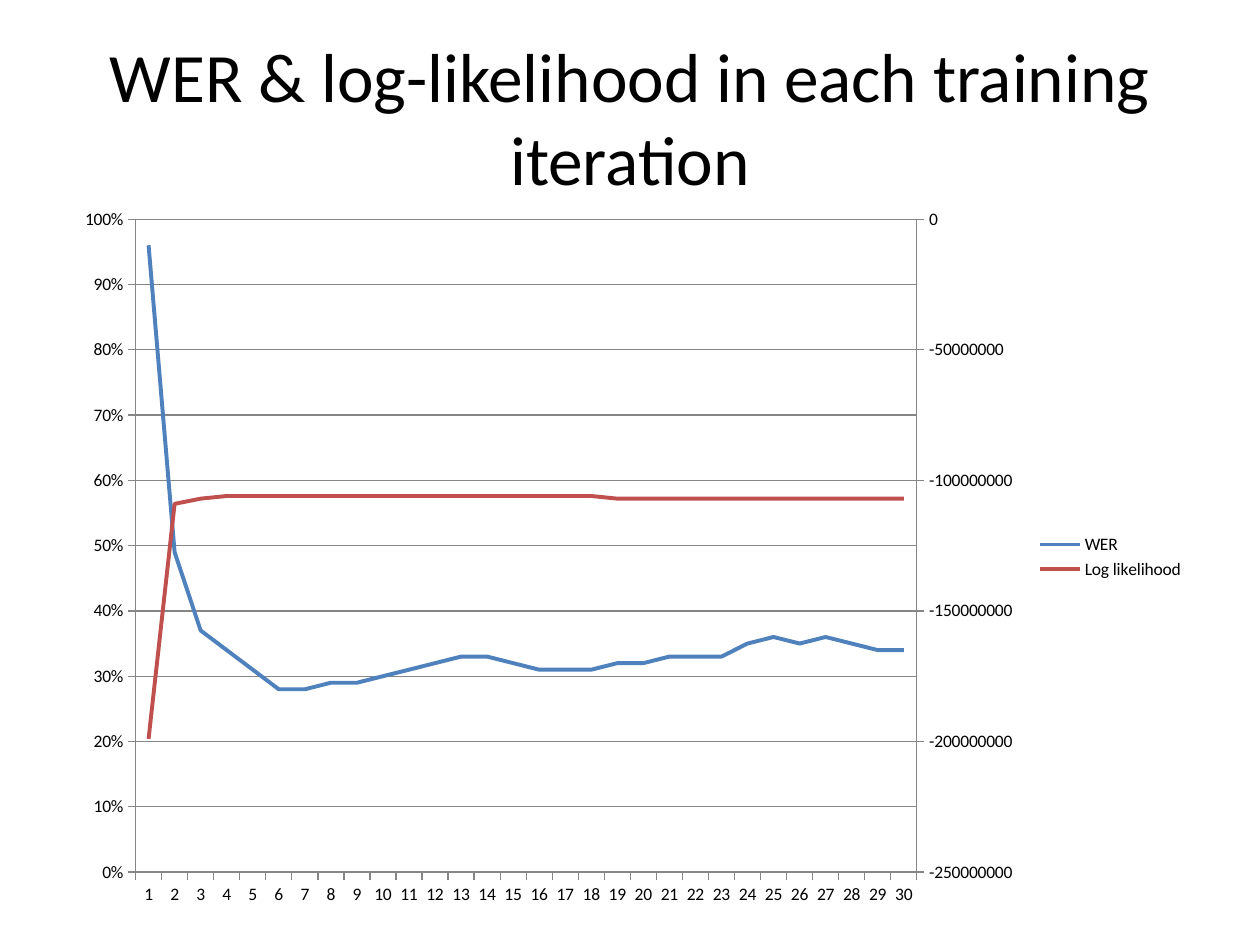
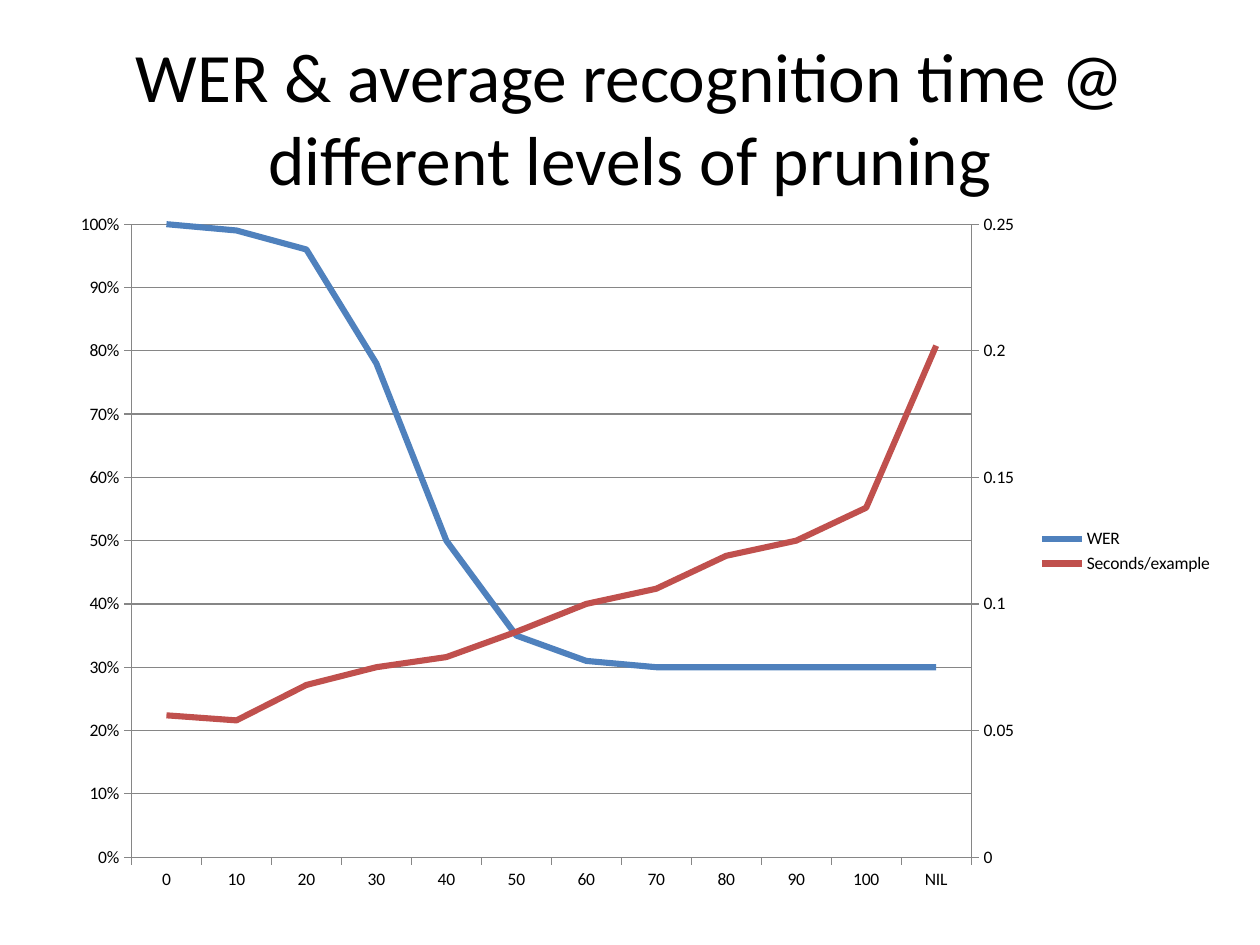
"""Build two slides that each compare word error rate with a second measure."""
from copy import deepcopy
from dataclasses import dataclass

from lxml.etree import SubElement
from pptx import Presentation
from pptx.chart.axis import CategoryAxis, ValueAxis
from pptx.chart.chart import Chart
from pptx.chart.data import CategoryChartData
from pptx.dml.color import RGBColor
from pptx.dml.line import LineFormat
from pptx.enum.chart import XL_CHART_TYPE, XL_LEGEND_POSITION, XL_TICK_MARK
from pptx.enum.text import MSO_ANCHOR, MSO_AUTO_SIZE, PP_ALIGN
from pptx.oxml.ns import qn
from pptx.slide import Slide
from pptx.util import Inches, Pt

WIDTH, HEIGHT = Inches(10), Inches(7.5)
FONT, BLACK, GREY = "Calibri", "000000", "868686"
SERIES_COLORS = ("4F81BD", "C0504D")


@dataclass(frozen=True)
class Box:
    """A rectangle in percent of the area that holds it."""
    x: float
    y: float
    w: float
    h: float

    def on_slide(self) -> tuple[int, int, int, int]:
        """Return left, top, width and height in slide units."""
        return (int(WIDTH * self.x / 100), int(HEIGHT * self.y / 100),
                int(WIDTH * self.w / 100), int(HEIGHT * self.h / 100))


@dataclass(frozen=True)
class Comparison:
    """A title with a chart of WER against a measure on the right axis."""
    title: str
    frame: Box
    plot: Box
    line_width: float
    categories: list[str]
    wer: list[float]
    measure: str
    values: list[float]
    right_range: tuple[float, float]
    right_step: float


TITLE_BOX = Box(5, 4, 90, 16.67)
MILLION = 1_000_000

COMPARISONS = (
    Comparison(
        title="WER & log-likelihood in each training iteration",
        frame=Box(5, 20.67, 90, 76.53),
        plot=Box(6.4, 3.3, 68.9, 90.3),
        line_width=2.25,
        categories=[str(i) for i in range(1, 31)],
        wer=[0.96, 0.49, 0.37, 0.34, 0.31, 0.28, 0.28, 0.29, 0.29, 0.3,
             0.31, 0.32, 0.33, 0.33, 0.32, 0.31, 0.31, 0.31, 0.32, 0.32,
             0.33, 0.33, 0.33, 0.35, 0.36, 0.35, 0.36, 0.35, 0.34, 0.34],
        measure="Log likelihood",
        values=[v * MILLION for v in [-199, -109, -107] + [-106] * 15 + [-107] * 12],
        right_range=(-250 * MILLION, 0),
        right_step=50 * MILLION,
    ),
    Comparison(
        title="WER & average recognition time @ different levels of pruning",
        frame=Box(4.6, 21.2, 92.7, 74.27),
        plot=Box(6.3, 3.4, 71.9, 90.2),
        line_width=3.5,
        categories=[str(i) for i in range(0, 101, 10)] + ["NIL"],
        wer=[1, 0.99, 0.96, 0.78, 0.5, 0.35, 0.31, 0.3, 0.3, 0.3, 0.3, 0.3],
        measure="Seconds/example",
        values=[0.056, 0.054, 0.068, 0.075, 0.079, 0.089,
                0.1, 0.106, 0.119, 0.125, 0.138, 0.202],
        right_range=(0, 0.25),
        right_step=0.05,
    ),
)


def rgb(color: str) -> RGBColor:
    """Turn a hex string into a colour."""
    return RGBColor.from_string(color)


def style_line(line: LineFormat, color: str, width: float) -> None:
    """Give a line its colour and its width in points."""
    line.color.rgb = rgb(color)
    line.width = Pt(width)


def set_title(s: Slide, text: str) -> None:
    """Fill and format the title placeholder."""
    sp = s.shapes.title
    sp.left, sp.top, sp.width, sp.height = TITLE_BOX.on_slide()
    tf = sp.text_frame
    tf.text = text
    tf.auto_size = MSO_AUTO_SIZE.NONE
    tf.vertical_anchor = MSO_ANCHOR.MIDDLE
    p = tf.paragraphs[0]
    p.alignment = PP_ALIGN.CENTER
    font = p.runs[0].font
    font.name, font.size = FONT, Pt(39.6)
    font.color.rgb = rgb(BLACK)


def style_value_axis(axis: ValueAxis, low: float, high: float, step: float,
                     number_format: str) -> None:
    """Set the range, step and number format of a value axis."""
    axis.minimum_scale, axis.maximum_scale, axis.major_unit = low, high, step
    axis.tick_labels.number_format = number_format
    axis.tick_labels.number_format_is_linked = False


def add_right_axis(chart: Chart) -> ValueAxis:
    """Move the last series to a second line plot with its own right axis."""
    cat, val = chart.category_axis._element, chart.value_axis._element
    lines = cat.getparent().find(qn("c:lineChart"))
    right_lines, right_cat, right_val = (deepcopy(e) for e in (lines, cat, val))
    lines.remove(lines.findall(qn("c:ser"))[-1])
    right_lines.remove(right_lines.find(qn("c:ser")))
    for element in (right_lines, right_cat, right_val):
        for axis_id in element.iter(qn("c:axId"), qn("c:crossAx")):
            axis_id.set("val", str(int(axis_id.get("val")) + 1))
    lines.addnext(right_lines)
    val.addnext(right_val)
    right_val.addnext(right_cat)
    right_val.find(qn("c:axPos")).set("val", "r")
    for old in right_val.findall(qn("c:crosses")):
        right_val.remove(old)
    crosses = SubElement(right_val, qn("c:crosses"))
    crosses.set("val", "max")
    right_val.find(qn("c:crossAx")).addnext(crosses)
    CategoryAxis(right_cat).visible = False
    axis = ValueAxis(right_val)
    axis.has_major_gridlines = False
    return axis


def place_plot(chart: Chart, box: Box) -> None:
    """Fix the inner plot area within the chart."""
    area = chart.category_axis._element.getparent()
    for old in area.findall(qn("c:layout")):
        area.remove(old)
    layout = SubElement(area, qn("c:layout"))
    area.insert(0, layout)
    manual = SubElement(layout, qn("c:manualLayout"))
    settings = {"layoutTarget": "inner", "xMode": "edge", "yMode": "edge"}
    settings |= {k: f"{getattr(box, k) / 100:.3f}" for k in "xywh"}
    for name, value in settings.items():
        SubElement(manual, qn(f"c:{name}")).set("val", value)


def add_comparison_chart(s: Slide, item: Comparison) -> None:
    """Draw WER on the left axis and the measure on the right one."""
    data = CategoryChartData()
    data.categories = item.categories
    data.add_series("WER", item.wer, "0%")
    data.add_series(item.measure, item.values)
    chart = s.shapes.add_chart(XL_CHART_TYPE.LINE, *item.frame.on_slide(), data).chart
    chart.has_title = False
    chart.font.name, chart.font.size = FONT, Pt(10)
    chart.font.color.rgb = rgb(BLACK)
    chart.has_legend = True
    chart.legend.position = XL_LEGEND_POSITION.RIGHT
    chart.legend.include_in_layout = False
    chart.plots[0].vary_by_categories = False
    for series, color in zip(chart.plots[0].series, SERIES_COLORS):
        series.smooth = False
        style_line(series.format.line, color, item.line_width)
    left = chart.value_axis
    left.has_major_gridlines = True
    style_line(left.major_gridlines.format.line, GREY, 0.75)
    for axis in (chart.category_axis, left):
        axis.major_tick_mark = XL_TICK_MARK.OUTSIDE
        axis.minor_tick_mark = XL_TICK_MARK.NONE
        style_line(axis.format.line, GREY, 0.75)
    right = add_right_axis(chart)
    style_value_axis(left, 0, 1, 0.1, "0%")
    style_value_axis(right, *item.right_range, item.right_step, "General")
    place_plot(chart, item.plot)


def main() -> None:
    """Build and save the presentation."""
    prs = Presentation()
    prs.slide_width, prs.slide_height = WIDTH, HEIGHT
    for item in COMPARISONS:
        s = prs.slides.add_slide(prs.slide_layouts.get_by_name("Title Only"))
        set_title(s, item.title)
        add_comparison_chart(s, item)
    prs.save("out.pptx")


if __name__ == "__main__":
    main()
